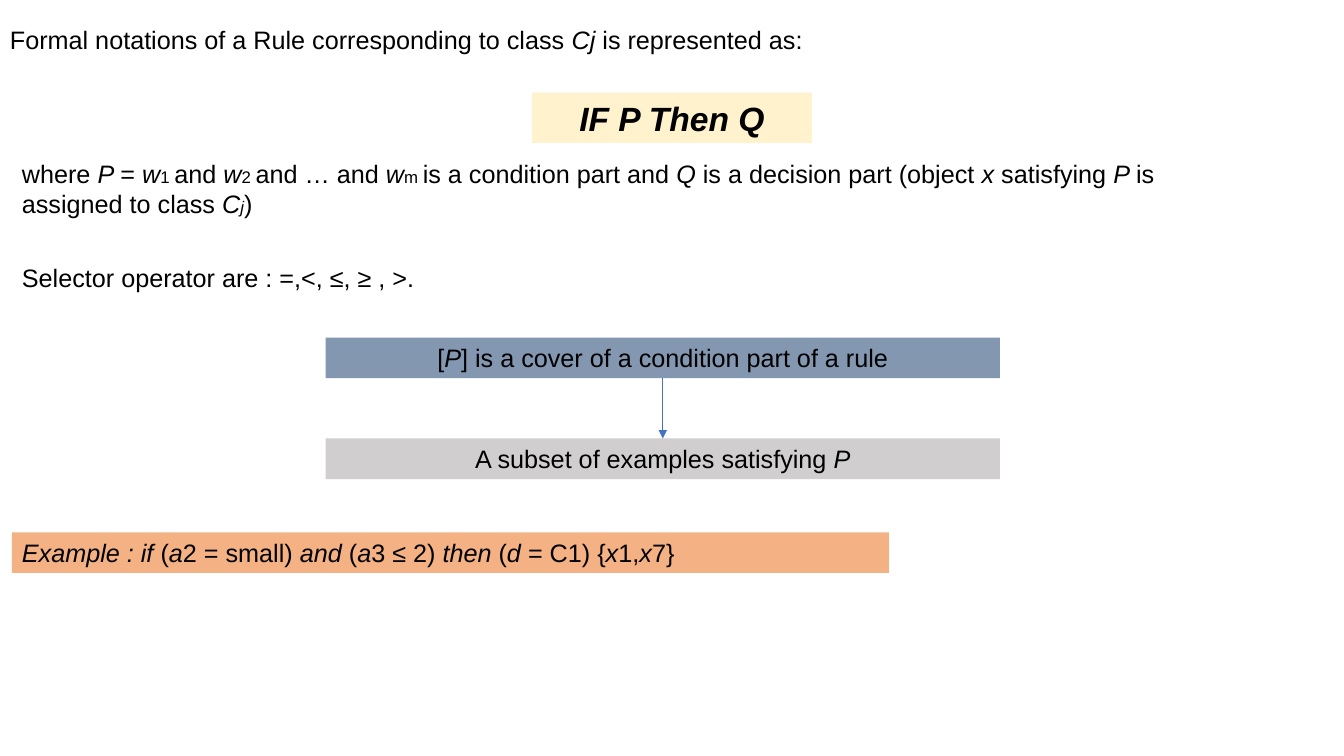
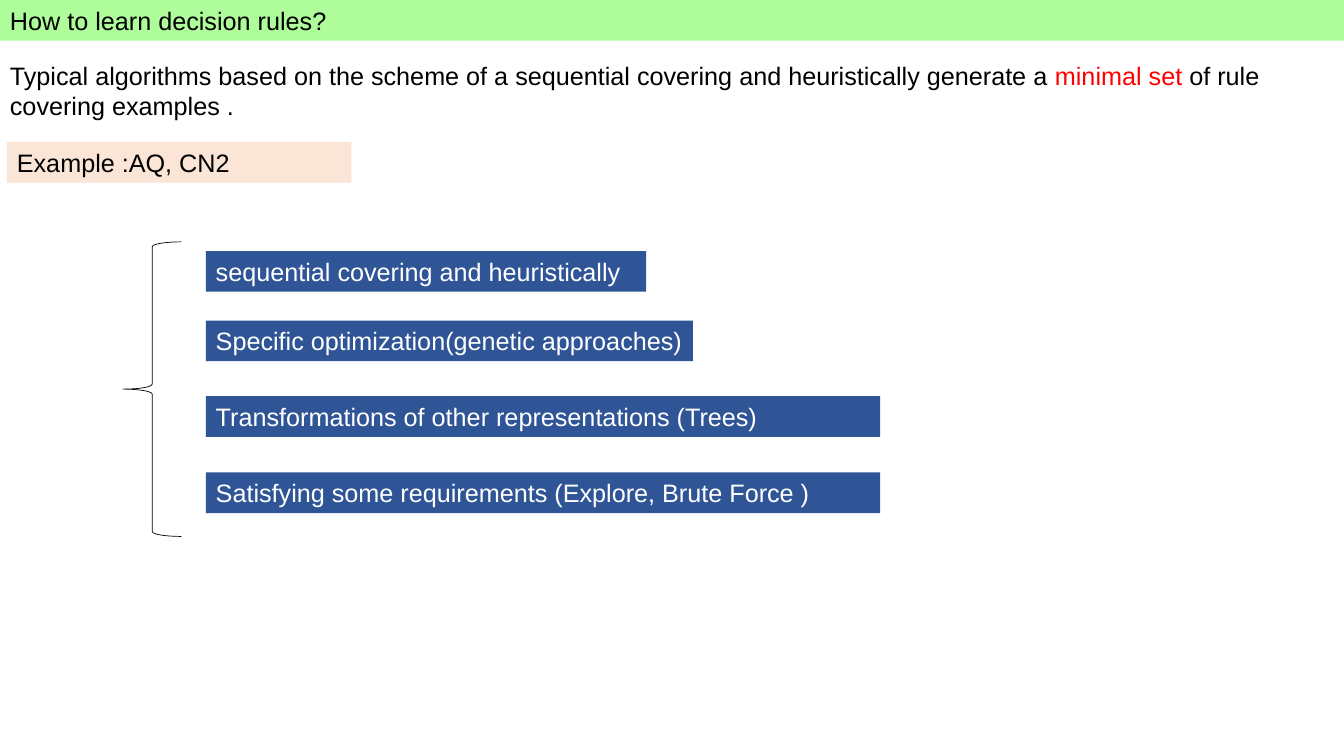
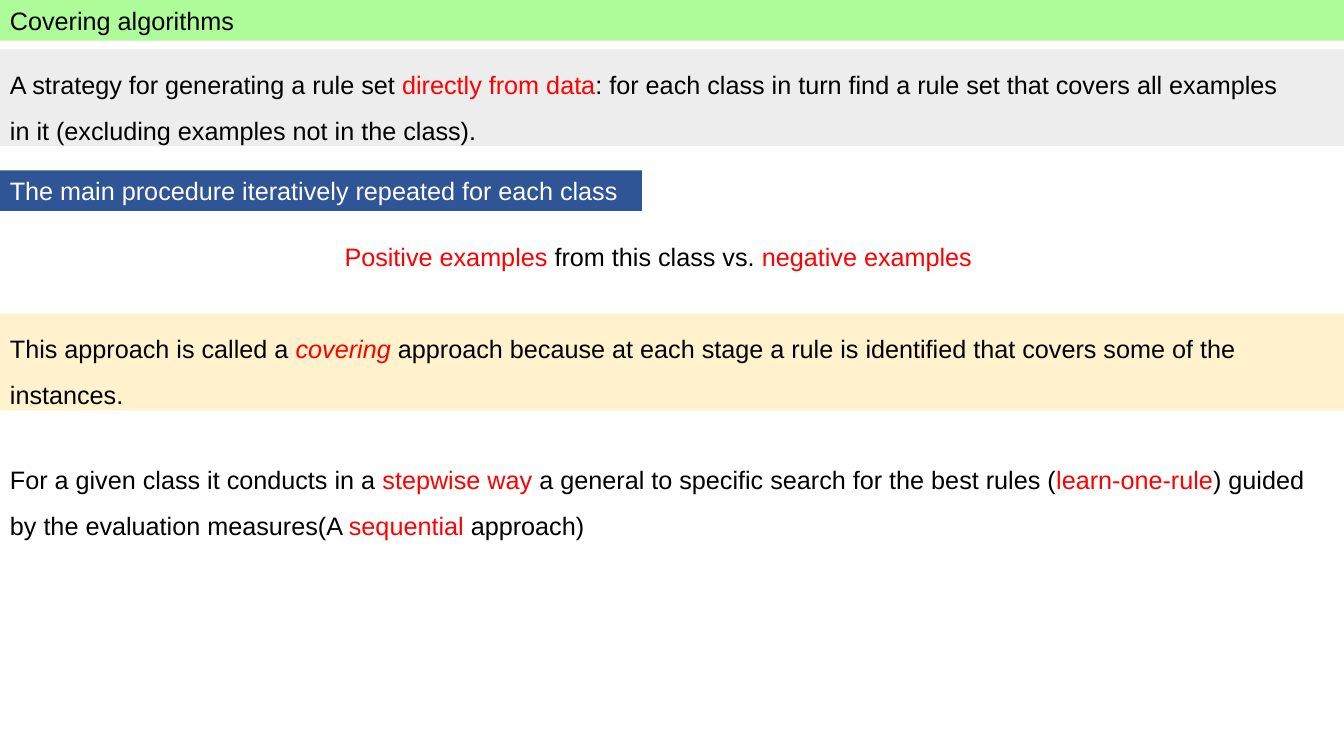
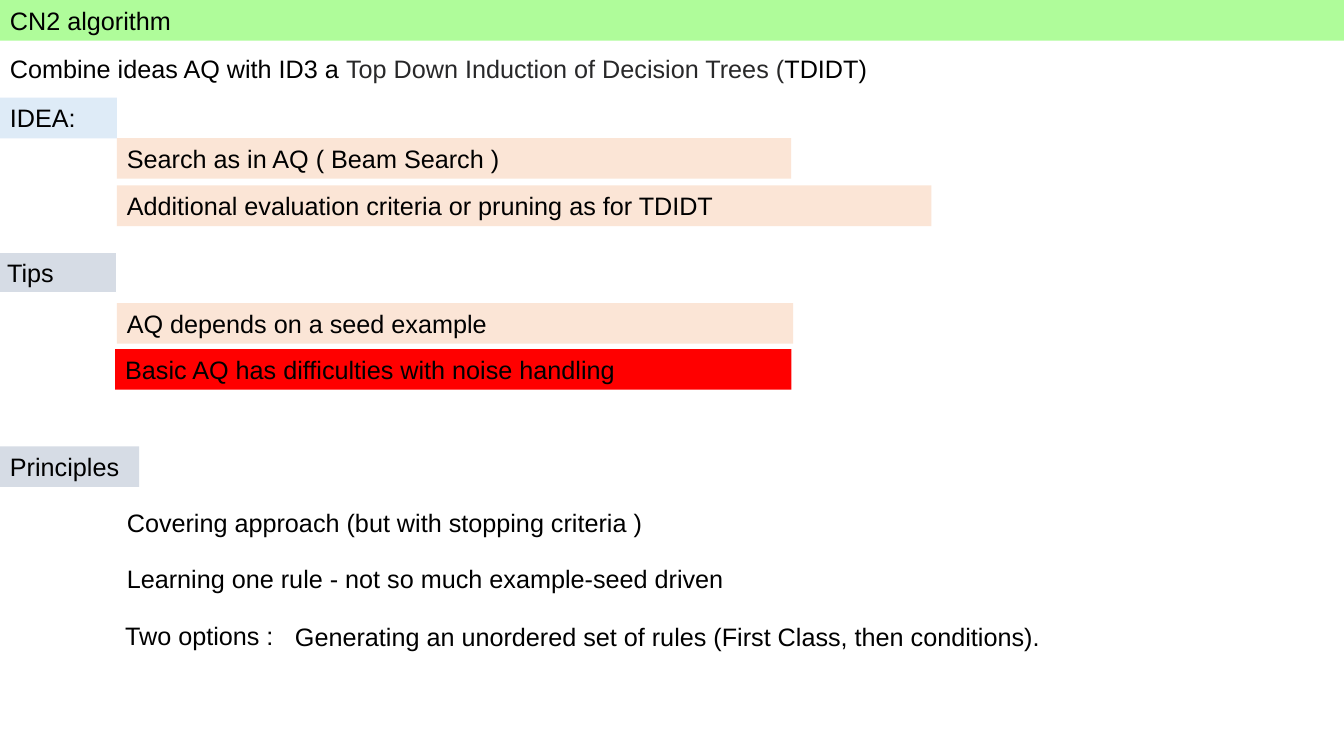
from dataclasses import dataclass

from lxml.etree import SubElement
from pptx import Presentation
from pptx.dml.color import RGBColor
from pptx.enum.shapes import MSO_CONNECTOR, MSO_SHAPE
from pptx.enum.text import MSO_AUTO_SIZE, PP_ALIGN
from pptx.oxml.ns import qn
from pptx.presentation import Presentation as PresentationType
from pptx.slide import Slide
from pptx.util import Pt


@dataclass(frozen=True)
class Theme:
    font: str = "Arial"
    body: float = 18
    formula: float = 24
    index: float = 12
    text: str = "000000"
    inverse: str = "FFFFFF"
    muted: str = "282829"
    accent: str = "FF0000"
    title_band: str = "AFFC9A"
    navy: str = "2F5597"
    slate: str = "8497B0"
    silver: str = "D0CECE"
    orange: str = "F4B183"
    peach: str = "FBE5D6"
    cream: str = "FFF2CC"
    pale_gray: str = "EDEDED"
    pale_blue: str = "DEEBF7"
    blue_gray: str = "D6DCE5"
    arrow: str = "4472C4"


THEME = Theme()
SLIDE_WIDTH = 960
SLIDE_HEIGHT = 540
ROW = 29
DOUBLE_ROW = 51
SPACED_ROWS = 69.1
COLUMN = 481.7


@dataclass(frozen=True)
class Span:
    text: str
    color: str = THEME.text
    size: float = THEME.body
    italic: bool = False
    bold: bool = False


Line = list[Span]


@dataclass(frozen=True)
class Panel:
    left: float
    top: float
    width: float
    lines: list[Line]
    height: float = ROW
    fill: str | None = None
    outline: str | None = None
    centered: bool = False
    spacing: float | None = None


def italic(text: str) -> Span:
    return Span(text, italic=True)


def index(text: str) -> Span:
    return Span(text, size=THEME.index)


def accent(text: str) -> Span:
    return Span(text, color=THEME.accent)


def plain(text: str, color: str = THEME.text) -> list[Line]:
    return [[Span(text, color)]]


def draw_panel(slide: Slide, panel: Panel) -> None:
    shape = slide.shapes.add_textbox(
        Pt(panel.left), Pt(panel.top), Pt(panel.width), Pt(panel.height)
    )
    if panel.fill:
        shape.fill.solid()
        shape.fill.fore_color.rgb = RGBColor.from_string(panel.fill)
    if panel.outline:
        shape.line.color.rgb = RGBColor.from_string(panel.outline)
        shape.line.width = Pt(0.75)
    frame = shape.text_frame
    frame.word_wrap = True
    frame.auto_size = MSO_AUTO_SIZE.SHAPE_TO_FIT_TEXT
    for position, line in enumerate(panel.lines):
        paragraph = frame.add_paragraph() if position else frame.paragraphs[0]
        paragraph.alignment = PP_ALIGN.CENTER if panel.centered else PP_ALIGN.LEFT
        if panel.spacing:
            paragraph.line_spacing = panel.spacing
        paragraph.text = line[0].text
        for span in line[1:]:
            paragraph.add_run().text = span.text
        for run, span in zip(paragraph.runs, line):
            run.font.name = THEME.font
            run.font.size = Pt(span.size)
            run.font.italic = span.italic
            run.font.bold = span.bold
            run.font.color.rgb = RGBColor.from_string(span.color)


def draw_down_arrow(slide: Slide, x: float, top: float, bottom: float) -> None:
    connector = slide.shapes.add_connector(
        MSO_CONNECTOR.STRAIGHT, Pt(x), Pt(top), Pt(x), Pt(bottom)
    )
    connector.line.color.rgb = RGBColor.from_string(THEME.arrow)
    connector.line.width = Pt(0.5)
    SubElement(connector.line._get_or_add_ln(), qn("a:tailEnd"), type="triangle")
    SubElement(connector._element.spPr, qn("a:effectLst"))


def draw_brace(slide: Slide, left: float, top: float, width: float, height: float) -> None:
    brace = slide.shapes.add_shape(
        MSO_SHAPE.LEFT_BRACE, Pt(left), Pt(top), Pt(width), Pt(height)
    )
    brace.shadow.inherit = False
    brace.fill.background()
    brace.line.color.rgb = RGBColor.from_string(THEME.text)
    brace.line.width = Pt(0.5)


def add_slide(
    presentation: PresentationType, panels: list[Panel], title: str | None = None
) -> Slide:
    slide = presentation.slides.add_slide(presentation.slide_layouts[6])
    if title:
        draw_panel(slide, Panel(0, 0, SLIDE_WIDTH, plain(title), fill=THEME.title_band))
    for panel in panels:
        draw_panel(slide, panel)
    return slide


def build_notation(presentation: PresentationType) -> None:
    intro = [
        Span("Formal notations of a Rule corresponding to class "),
        italic("Cj "),
        Span("is represented as:"),
    ]
    formula = [Span("IF P Then Q", size=THEME.formula, italic=True, bold=True)]
    condition = [
        Span("where "), italic("P "), Span("= "), italic("w"), index("1 "),
        Span("and "), italic("w"), index("2 "), Span("and … and "), italic("w"),
        index("m "), Span("is a condition part and "), italic("Q "),
        Span("is a decision part (object "), italic("x "), Span("satisfying "),
        italic("P "), Span("is"),
    ]
    decision = [
        Span("assigned to class "), italic("C"),
        Span("j", size=THEME.index, italic=True), Span(")"),
    ]
    cover = [Span("["), italic("P"), Span("] is a cover of a condition part of a rule")]
    subset = [Span("A subset of examples satisfying "), italic("P")]
    example = [
        italic("Example : if "), Span("("), italic("a"), Span("2 = small) "),
        italic("and "), Span("("), italic("a"), Span("3 ≤ 2) "), italic("then "),
        Span("("), italic("d "), Span("= C1) {"), italic("x"), Span("1,"),
        italic("x"), Span("7}"),
    ]
    margin, box_left, cover_top, subset_top = 8.6, 232.6, 241.2, 313.2
    slide = add_slide(presentation, [
        Panel(0, 13.7, 615.6, [intro]),
        Panel(380, 66.2, 200, [formula], 36, THEME.cream, centered=True),
        Panel(margin, 109.4, 868.3, [condition, decision], DOUBLE_ROW),
        Panel(margin, 183.6, 348, plain("Selector operator are : =,<, ≤, ≥ , >.")),
        Panel(box_left, cover_top, COLUMN, [cover], fill=THEME.slate, centered=True),
        Panel(box_left, subset_top, COLUMN, [subset], fill=THEME.silver, centered=True),
        Panel(margin, 380.2, 626.4, [example], fill=THEME.orange),
    ])
    draw_down_arrow(slide, box_left + COLUMN / 2, cover_top + ROW, subset_top)


def build_learning(presentation: PresentationType) -> None:
    scheme = [
        [
            Span("Typical algorithms based on the scheme of a sequential covering "
                 "and heuristically generate a "),
            accent("minimal set "),
            Span("of rule"),
        ],
        [Span("covering examples .")],
    ]
    approaches = [
        (179.3, 314.6, "sequential covering and heuristically"),
        (229, 348, "Specific optimization(genetic approaches)"),
        (283, COLUMN, "Transformations of other representations (Trees)"),
        (337.5, COLUMN, "Satisfying some requirements (Explore, Brute Force )"),
    ]
    slide = add_slide(presentation, [
        Panel(0, 39.6, SLIDE_WIDTH, scheme, DOUBLE_ROW),
        Panel(5, 101.5, 246, plain("Example :AQ, CN2"), fill=THEME.peach),
        *(
            Panel(147, top, width, plain(text, THEME.inverse), fill=THEME.navy)
            for top, width, text in approaches
        ),
    ], "How to learn decision rules?")
    draw_brace(slide, 87.8, 172.8, 41.8, 210.4)


def build_covering(presentation: PresentationType) -> None:
    strategy = [
        [
            Span("A strategy for generating a rule set "),
            accent("directly from data"),
            Span(": for each class in turn find a rule set that covers all examples"),
        ],
        [Span("in it (excluding examples not in the class).")],
    ]
    contrast = [
        accent("Positive examples "),
        Span("from this class vs. "),
        accent("negative examples"),
    ]
    approach = [
        [
            Span("This approach is called a "),
            Span("covering ", THEME.accent, italic=True),
            Span("approach because at each stage a rule is identified that covers "
                 "some of the"),
        ],
        [Span("instances.")],
    ]
    search = [
        [
            Span("For a given class it conducts in a "),
            accent("stepwise way "),
            Span("a general to specific search for the best rules ("),
            accent("learn-one-rule"),
            Span(") guided"),
        ],
        [
            Span("by the evaluation measures(A "),
            accent("sequential "),
            Span("approach)"),
        ],
    ]
    procedure = "The main procedure iteratively repeated for each class"
    passages = [
        Panel(0, top, SLIDE_WIDTH, lines, SPACED_ROWS, fill, spacing=1.5)
        for top, lines, fill in (
            (35.3, strategy, THEME.pale_gray),
            (224, approach, THEME.cream),
            (317.5, search, None),
        )
    ]
    add_slide(presentation, [
        *passages,
        Panel(0, 121.7, 458.6, plain(procedure, THEME.inverse), fill=THEME.navy),
        Panel(239, 168.5, COLUMN, [contrast]),
    ], "Covering algorithms")


def build_cn2(presentation: PresentationType) -> None:
    summary = [
        Span("Combine ideas AQ with ID3 a "),
        Span("Top Down Induction of Decision Trees (", THEME.muted),
        Span("TDIDT)"),
    ]
    indent, outdent, wide = 83.5, 82.3, 483
    rows = [
        (0, 69.8, indent, "IDEA:", THEME.pale_blue),
        (indent, 98.6, COLUMN, "Search as in AQ ( Beam Search )", THEME.peach),
        (indent, 132.5, 581.8,
         "Additional evaluation criteria or pruning as for TDIDT", THEME.peach),
        (indent, 216.5, wide, "AQ depends on a seed example", THEME.peach),
        (outdent, 249.3, wide, "Basic AQ has difficulties with noise handling",
         THEME.accent),
        (0, 318.8, 99.4, "Principles", THEME.blue_gray),
        (indent, 358.6, wide, "Covering approach (but with stopping criteria )", None),
        (indent, 398.9, wide, "Learning one rule - not so much example-seed driven", None),
        (outdent, 439.2, wide, "Two options :", None),
        (203.6, 440.6, 625,
         "Generating an unordered set of rules (First Class, then conditions).", None),
    ]
    add_slide(presentation, [
        Panel(0, 34.6, 669.6, [summary]),
        Panel(-2, 180, 85, plain("Tips"), fill=THEME.blue_gray, outline=THEME.inverse),
        *(
            Panel(left, top, width, plain(text), fill=fill)
            for left, top, width, text, fill in rows
        ),
    ], "CN2 algorithm")


def main() -> None:
    presentation = Presentation()
    presentation.slide_width = Pt(SLIDE_WIDTH)
    presentation.slide_height = Pt(SLIDE_HEIGHT)
    for build in (build_notation, build_learning, build_covering, build_cn2):
        build(presentation)
    presentation.save("out.pptx")


if __name__ == "__main__":
    main()
